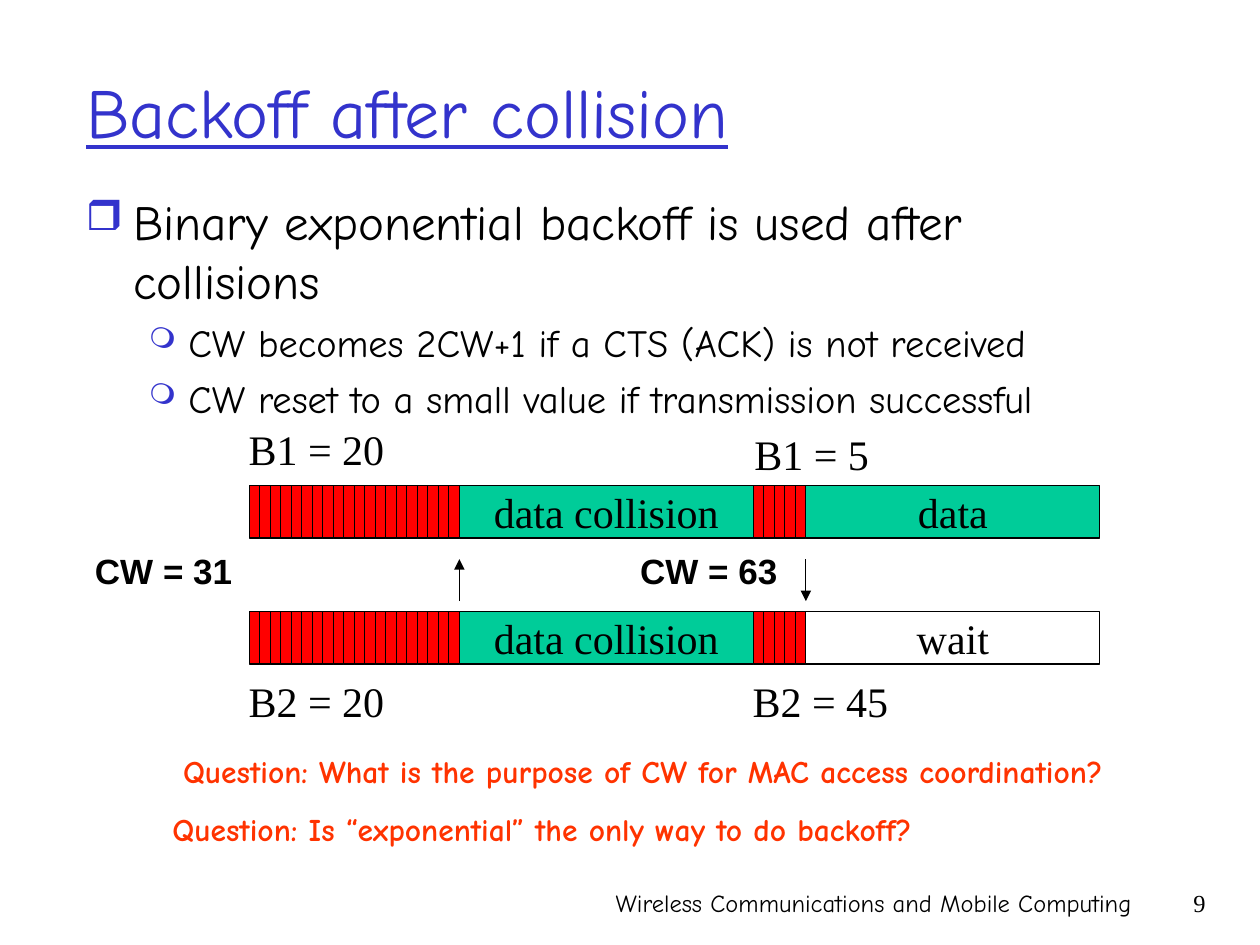
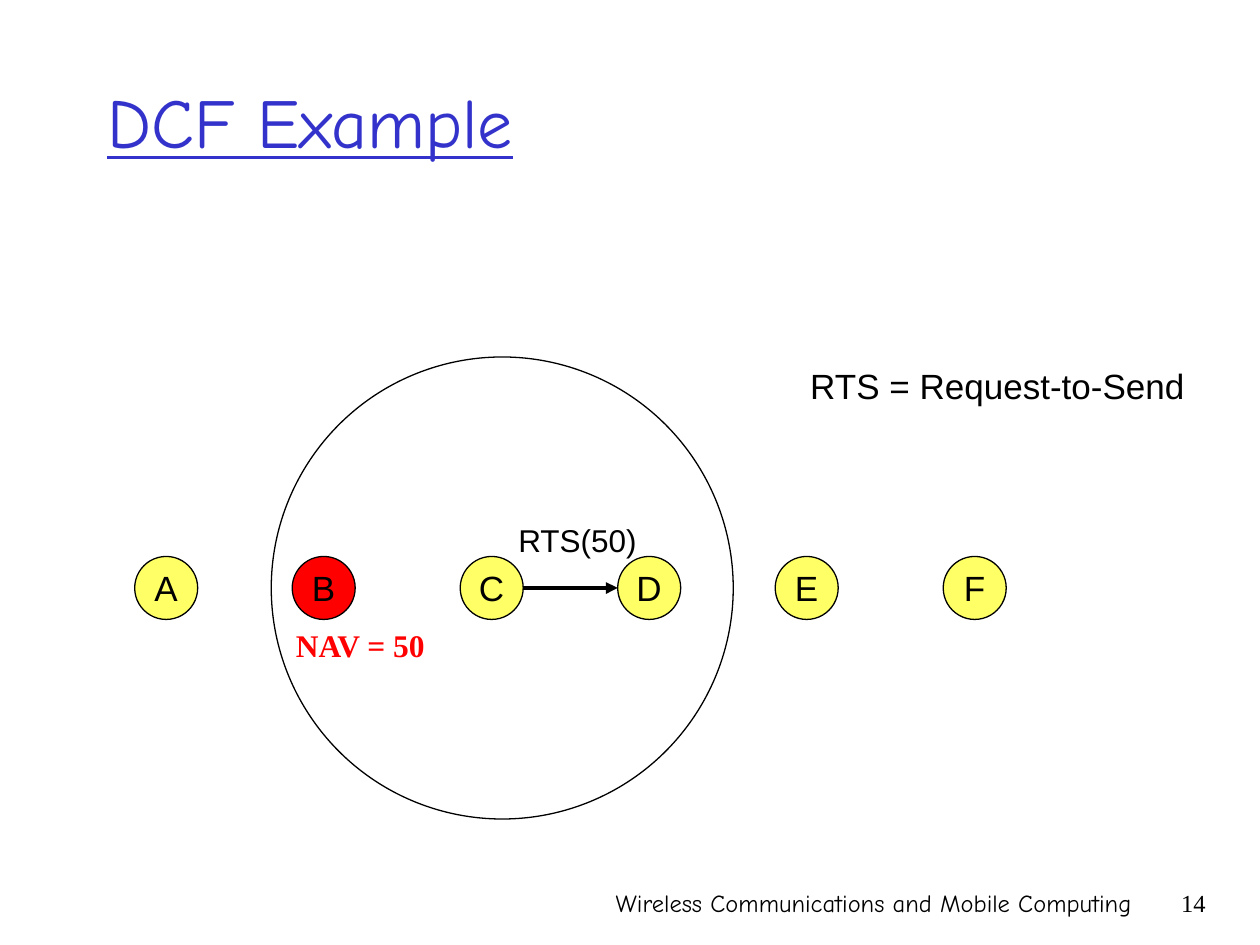
"""Builds two slides on wireless medium access: backoff and a DCF example."""
from dataclasses import dataclass

import lxml.etree
import pptx
import pptx.dml.color
import pptx.enum.shapes
import pptx.enum.text
import pptx.oxml.ns
import pptx.util

Pt = pptx.util.Pt
qn = pptx.oxml.ns.qn
ALIGN = pptx.enum.text.PP_ALIGN
ANCHOR = pptx.enum.text.MSO_ANCHOR
FIT = pptx.enum.text.MSO_AUTO_SIZE
SHAPE = pptx.enum.shapes.MSO_SHAPE


@dataclass(frozen=True)
class Theme:
    """Colours, fonts, type sizes and line widths of the deck."""
    ink: str = "000000"
    accent: str = "3333CC"
    question: str = "FF3300"
    busy: str = "FF0000"
    data: str = "00CC99"
    idle: str = "FFFF66"
    hand: str = "Comic Neue"
    serif: str = "Times New Roman"
    sans: str = "Arial"
    title: int = 40
    body: int = 28
    detail: int = 22
    frame: int = 24
    label: int = 20
    note: int = 18
    footer: int = 14
    hairline: float = 0.75
    arrow: float = 2.25


THEME = Theme()
TITLE_ONLY = 5


def rgb(color):
    """Turn a hex string into a colour."""
    return pptx.dml.color.RGBColor.from_string(color)


def format_runs(paragraph, font, size, color=THEME.ink, bold=False, underline=False):
    """Give every run of a paragraph the same look."""
    for run in paragraph.runs:
        run.font.name = font
        run.font.size = Pt(size)
        run.font.color.rgb = rgb(color)
        run.font.bold = bold
        run.font.underline = underline


def add_label(slide, text, box, font, size, align=ALIGN.LEFT, wrap=False,
              color=THEME.ink, bold=False):
    """Place one line of free text in a box (left, top, width, height)."""
    frame = slide.shapes.add_textbox(*map(Pt, box)).text_frame
    frame.word_wrap = wrap
    frame.auto_size = FIT.NONE if wrap else FIT.SHAPE_TO_FIT_TEXT
    frame.text = text
    frame.paragraphs[0].alignment = align
    format_runs(frame.paragraphs[0], font, size, color, bold)


def add_block(slide, outline, box, fill=None, text="", font=THEME.serif, size=THEME.frame):
    """Place an outlined shape, with an optional fill and centred text."""
    block = slide.shapes.add_shape(outline, *map(Pt, box))
    block.shadow.inherit = False
    if fill:
        block.fill.solid()
        block.fill.fore_color.rgb = rgb(fill)
    else:
        block.fill.background()
    block.line.color.rgb = rgb(THEME.ink)
    block.line.width = Pt(THEME.hairline)
    if text:
        frame = block.text_frame
        frame.word_wrap = False
        frame.vertical_anchor = ANCHOR.MIDDLE
        frame.text = text
        frame.paragraphs[0].alignment = ALIGN.CENTER
        format_runs(frame.paragraphs[0], font, size)


def add_arrow(slide, start, end, width=THEME.hairline):
    """Draw a straight arrow with its head at the end point."""
    arrow = slide.shapes.add_connector(
        pptx.enum.shapes.MSO_CONNECTOR.STRAIGHT, *map(Pt, (*start, *end)))
    arrow.line.color.rgb = rgb(THEME.ink)
    arrow.line.width = Pt(width)
    lxml.etree.SubElement(arrow.line._get_or_add_ln(), qn("a:tailEnd"), type="triangle")
    lxml.etree.SubElement(arrow._element.spPr, qn("a:effectLst"))


def add_titled_slide(deck, title, title_box, number):
    """Add a slide with the shared title style, footer and page number."""
    slide = deck.slides.add_slide(deck.slide_layouts[TITLE_ONLY])
    heading = slide.shapes.title
    heading.left, heading.top, heading.width, heading.height = map(Pt, title_box)
    frame = heading.text_frame
    frame.text = title
    frame.auto_size = FIT.NONE
    frame.vertical_anchor = ANCHOR.MIDDLE
    frame.paragraphs[0].alignment = ALIGN.LEFT
    format_runs(frame.paragraphs[0], THEME.hand, THEME.title, THEME.accent, underline=True)
    add_label(slide, "Wireless Communications and Mobile Computing", (278, 504, 376, 36),
              THEME.hand, THEME.footer, ALIGN.RIGHT, wrap=True)
    add_label(slide, str(number), (643, 504, 53, 36),
              THEME.serif, THEME.footer, ALIGN.RIGHT, wrap=True)
    return slide


def add_bullet(paragraph, mark, percent, margin, hang):
    """Give a paragraph a coloured bullet and a hanging indent."""
    properties = paragraph._p.get_or_add_pPr()
    properties.set("marL", str(Pt(margin)))
    properties.set("indent", str(-Pt(hang)))
    tint = lxml.etree.SubElement(properties, qn("a:buClr"))
    lxml.etree.SubElement(tint, qn("a:srgbClr"), val=THEME.accent)
    lxml.etree.SubElement(properties, qn("a:buSzPct"), val=str(percent * 1000))
    lxml.etree.SubElement(properties, qn("a:buChar"), char=mark)


def draw_outline(slide, box, points):
    """Write the bulleted (level, text) points in a box."""
    styles = [(THEME.body, 7, "\u2752", 85, 27, 27),
              (THEME.detail, 5.5, "\u274d", 75, 58.5, 22.5)]
    frame = slide.shapes.add_textbox(*map(Pt, box)).text_frame
    frame.word_wrap = True
    for index, (level, text) in enumerate(points):
        size, space, *bullet = styles[level]
        paragraph = frame.add_paragraph() if index else frame.paragraphs[0]
        paragraph.text = text
        paragraph.level = level
        paragraph.space_before = Pt(space)
        format_runs(paragraph, THEME.hand, size)
        add_bullet(paragraph, *bullet)


def draw_backoff(slide, box):
    """Draw two station timelines, each with two rounds of backoff and a frame."""
    left, top, width, height = box
    slot, lane = 6, 30
    counts = (20, 5)
    frame_width = (width - slot * sum(counts)) / 2
    second_lane = top + height - lane
    lanes = [(top, ("data collision", "data")),
             (second_lane, ("data collision", "wait"))]
    for y, frames in lanes:
        x = left
        for count, text in zip(counts, frames):
            for _ in range(count):
                add_block(slide, SHAPE.RECTANGLE, (x, y, slot, lane), THEME.busy)
                x += slot
            fill = None if text == "wait" else THEME.data
            add_block(slide, SHAPE.RECTANGLE, (x, y, frame_width, lane), fill, text)
            x += frame_width

    second_round = left + counts[0] * slot + frame_width
    counters = [("B1 = 20", left - 7.5, top - 39),
                ("B2 = 20", left - 7.5, second_lane + 33),
                ("B1 = 5", second_round - 6.5, top - 36),
                ("B2 = 45", second_round - 7.5, second_lane + 33)]
    for text, x, y in counters:
        add_label(slide, text, (x, y, 100, 36), THEME.serif, THEME.frame, wrap=True)
    for text, x in (("CW = 31", left - 97), ("CW = 63", second_round - 73.5)):
        add_label(slide, text, (x, top + 33, 96, 31.5), THEME.sans, THEME.label,
                  ALIGN.CENTER, wrap=True, bold=True)

    above, below = top + lane + 12, second_lane - 6
    collision = left + counts[0] * slot
    transmission = second_round + counts[1] * slot
    add_arrow(slide, (collision, below), (collision, above))
    add_arrow(slide, (transmission, above), (transmission, below))


def draw_questions(slide, box):
    """Write the two questions to the class."""
    left, top, width, height = box
    questions = [
        ("Question: What is the purpose of CW for MAC access coordination?", 6, 0, width - 6),
        ("Question: Is \u201cexponential\u201d the only way to do backoff?", 0, height - 29, 438)]
    for text, dx, dy, line_width in questions:
        add_label(slide, text, (left + dx, top + dy, line_width, 29),
                  THEME.hand, THEME.note, color=THEME.question, bold=True)


def draw_network(slide, box):
    """Draw the row of stations, the sender's range and the RTS message."""
    left, top, _, height = box
    node = 36
    row = top + (height - node) / 2
    stations = {name: left + dx for name, dx in zip("ABCDEF", (0, 90, 186, 276, 366, 462))}
    for name, x in stations.items():
        add_block(slide, SHAPE.OVAL, (x, row, node, node),
                  THEME.busy if name == "B" else THEME.idle, name, THEME.sans, THEME.label)
    middle = row + node / 2
    add_arrow(slide, (stations["C"] + node, middle), (stations["D"], middle), THEME.arrow)
    add_block(slide, SHAPE.OVAL, (left + 78, top, height, height))
    add_label(slide, "RTS(50)", (stations["C"] + 19, row - 24, 96, 29),
              THEME.sans, THEME.note, ALIGN.CENTER, wrap=True)
    add_label(slide, "NAV = 50", (stations["B"] - 5, row + node, 100, 29),
              THEME.serif, THEME.note, wrap=True, color=THEME.busy, bold=True)
    add_label(slide, "RTS = Request-to-Send", (left + 378.5, top + 1, 229, 32),
              THEME.sans, THEME.label, ALIGN.CENTER)


def main():
    """Build and save the deck."""
    deck = pptx.Presentation()
    deck.slide_width, deck.slide_height = Pt(720), Pt(540)

    backoff = add_titled_slide(deck, "Backoff after collision", (42, 18, 612, 90), 9)
    draw_outline(backoff, (42, 106, 612, 142.5), [
        (0, "Binary exponential backoff is used after collisions"),
        (1, "CW becomes 2CW+1 if a CTS (ACK) is not received"),
        (1, "CW reset to a small value if transmission successful")])
    draw_backoff(backoff, (142.5, 277.5, 486, 102))
    draw_questions(backoff, (91.5, 426, 547, 62.5))

    example = add_titled_slide(deck, "DCF Example", (54, 24, 612, 90), 14)
    draw_network(example, (77, 204, 608, 264))

    deck.save("out.pptx")


main()
